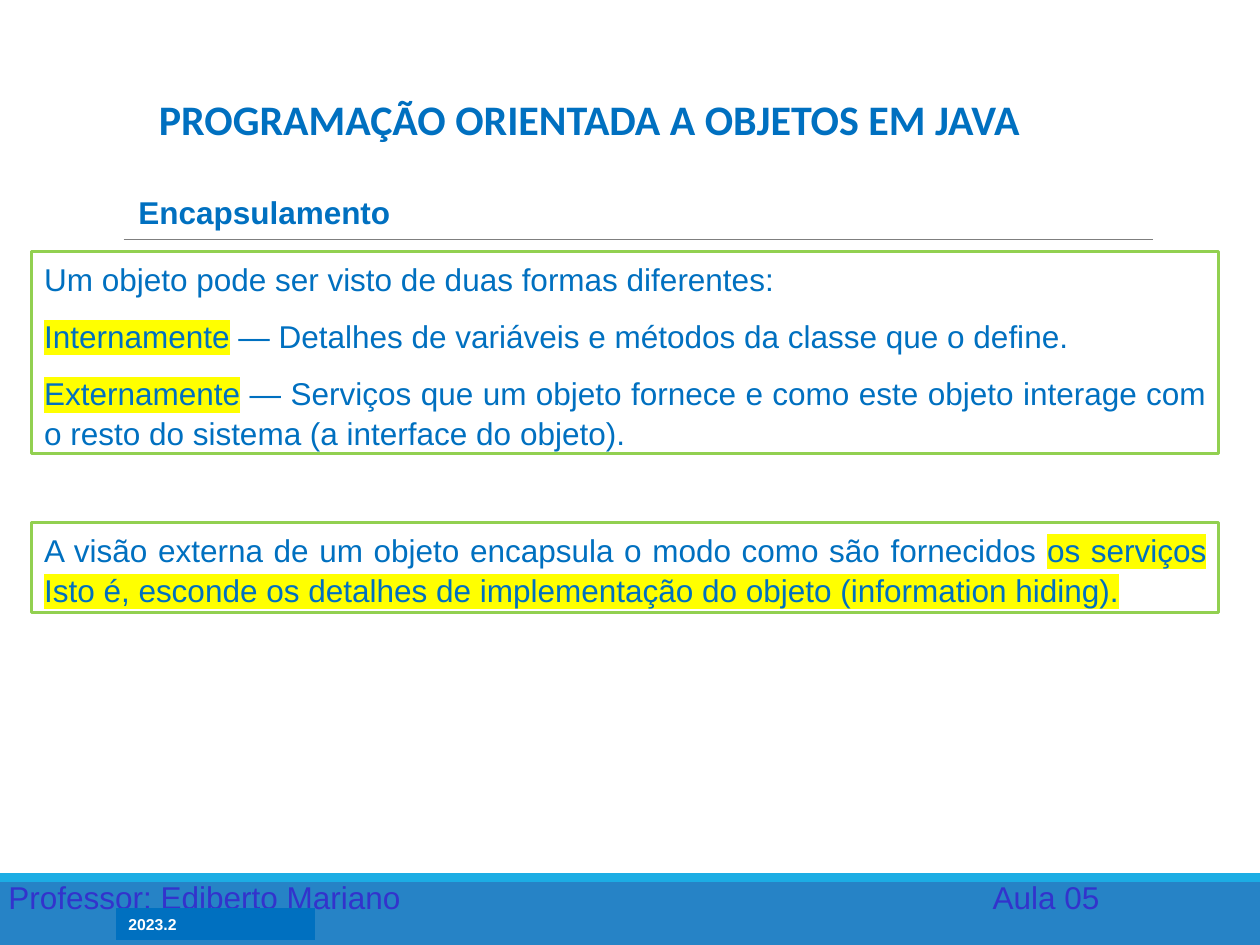
from dataclasses import dataclass

from lxml import etree
from pptx import Presentation
from pptx import util as u
from pptx.dml.color import RGBColor
from pptx.enum import shapes, text
from pptx.oxml.ns import qn

BLUE, WHITE, GREEN, YELLOW = "0070C0", "FFFFFF", "92D050", "FFFF00"


@dataclass
class Box:
    left: float
    top: float
    width: float
    height: float
    fill: str | None = None
    line: str | None = None


@dataclass
class Run:
    text: str
    highlight: str | None = None


def rgb(value: str) -> RGBColor:
    return RGBColor.from_string(value)


def lengths(box: Box) -> list[u.Cm]:
    return [u.Cm(v) for v in (box.left, box.top, box.width, box.height)]


def add_box(s, box: Box):
    sp = s.shapes.add_shape(shapes.MSO_SHAPE.RECTANGLE, *lengths(box))
    sp.shadow.inherit = False
    if box.fill:
        sp.fill.solid()
        sp.fill.fore_color.rgb = rgb(box.fill)
    else:
        sp.fill.background()
    if box.line:
        sp.line.color.rgb = rgb(box.line)
        sp.line.width = u.Pt(1.75)
    else:
        sp.line.fill.background()
    return sp


def add_label(s, box: Box):
    return s.shapes.add_textbox(*lengths(box))


def add_rule(s, left: float, right: float, y: float) -> None:
    ln = s.shapes.add_connector(shapes.MSO_CONNECTOR.STRAIGHT,
                                u.Cm(left), u.Cm(y), u.Cm(right), u.Cm(y))
    ln.line.color.rgb = rgb("7F7F7F")
    ln.line.width = u.Pt(0.5)
    etree.SubElement(ln._element.spPr, qn("a:effectLst"))


def write(sp, paragraphs: list[list[Run]], size: float = 18, font: str = "Arial",
          color: str = BLUE, bold: bool = False, align=text.PP_ALIGN.LEFT,
          anchor=text.MSO_ANCHOR.TOP, before: float = 0, spacing: float = 1,
          tab: float | None = None) -> None:
    tf = sp.text_frame
    tf.word_wrap = True
    tf.vertical_anchor = anchor
    for i, runs in enumerate(paragraphs):
        p = tf.add_paragraph() if i else tf.paragraphs[0]
        p.alignment = align
        p.space_before = u.Pt(before)
        p.line_spacing = spacing
        if tab:
            tabs = etree.SubElement(p._p.get_or_add_pPr(), qn("a:tabLst"))
            etree.SubElement(tabs, qn("a:tab"), pos=str(u.Cm(tab)), algn="l")
        for run in runs:
            r = p.add_run()
            r.text = run.text
            r.font.size = u.Pt(size)
            r.font.bold = bold
            r.font.color.rgb = rgb(color)
            if run.highlight:
                mark = etree.Element(qn("a:highlight"))
                etree.SubElement(mark, qn("a:srgbClr"), val=run.highlight)
                r.font._element.find(qn("a:solidFill")).addnext(mark)
            r.font.name = font


def main() -> None:
    prs = Presentation()
    prs.slide_width, prs.slide_height = u.Cm(25.4), u.Cm(19.05)
    s = prs.slides.add_slide(prs.slide_layouts[6])
    body = dict(align=text.PP_ALIGN.JUSTIFY, before=10, spacing=1.05)

    add_box(s, Box(0, 17.6, 25.4, 1.45, fill="2683C6"))
    add_box(s, Box(0, 17.6, 25.4, 0.18, fill="1CADE4"))
    add_rule(s, 2.49, 23.24, 4.83)
    write(add_label(s, Box(-0.08, 17.58, 22.86, 1.02)),
          [[Run("Professor: Ediberto Mariano\tAula 05")]], color="3333CC", tab=19.84)
    write(add_box(s, Box(2.34, 18.31, 4.01, 0.64, fill=BLUE)),
          [[Run("2023.2")]], size=9, color=WHITE, bold=True)

    write(add_label(s, Box(2.62, 1.7, 18.52, 1.32)),
          [[Run("PROGRAMAÇÃO ORIENTADA A OBJETOS EM JAVA")]],
          size=24, font="Calibri", bold=True, align=text.PP_ALIGN.CENTER,
          anchor=text.MSO_ANCHOR.BOTTOM)
    write(add_label(s, Box(2.54, 3.73, 22.02, 1.04)),
          [[Run("Encapsulamento")]], bold=True, **body)
    write(add_box(s, Box(0.64, 5.08, 23.93, 4.06, line=GREEN)), [
        [Run("Um objeto pode ser visto de duas formas diferentes:")],
        [Run("Internamente", YELLOW),
         Run(" — Detalhes de variáveis e métodos da classe que o define.")],
        [Run("Externamente", YELLOW),
         Run(" — Serviços que um objeto fornece e como este objeto interage com "
             "o resto do sistema (a interface do objeto).")],
    ], **body)
    write(add_box(s, Box(0.64, 10.54, 23.93, 1.8, line=GREEN)), [
        [Run("A visão externa de um objeto encapsula o modo como são fornecidos "),
         Run("os serviços Isto é, esconde os detalhes de implementação do objeto "
             "(information hiding).", YELLOW)],
    ], **body)
    prs.save("out.pptx")


if __name__ == "__main__":
    main()
